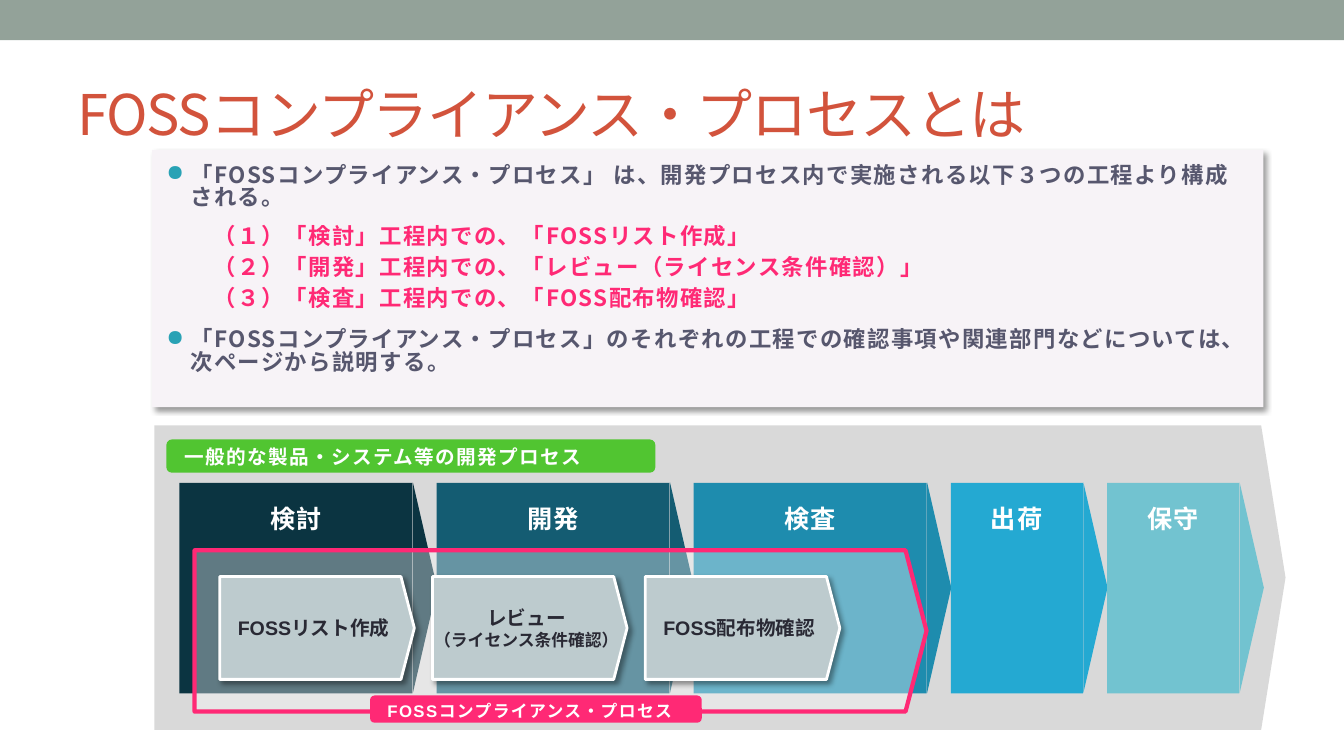
from lxml.etree import SubElement
from pptx import Presentation
from pptx.dml.color import RGBColor
from pptx.enum.shapes import MSO_SHAPE as Kind
from pptx.enum.text import MSO_ANCHOR as Anchor, MSO_AUTO_SIZE as Auto, PP_ALIGN as Align
from pptx.oxml.ns import qn
from pptx.util import Emu, Pt

PX = 9144  # 100 px to the inch
SANS, ARIAL = "Noto Sans CJK JP", "Arial"
PINK, WHITE, INK = "FF2975", "FFFFFF", "57576E"
TIP = 24

BODY = dict(name=SANS, size=Pt(16), bold=True)
HEAD = dict(name=ARIAL, size=Pt(18), bold=True)
LABEL = dict(name=ARIAL, size=Pt(14), bold=True)
SMALL = dict(LABEL, size=Pt(12))

INTRO = [
    ("「FOSSコンプライアンス・プロセス」 は、開発プロセス内で実施される以下３つの工程より構成される。", True, 0),
    ("（１）「検討」工程内での、「FOSSリスト作成」", False, 12),
    ("（２）「開発」工程内での、「レビュー（ライセンス条件確認）」", False, 6),
    ("（３）「検査」工程内での、「FOSS配布物確認」", False, 6),
    ("「FOSSコンプライアンス・プロセス」のそれぞれの工程での確認事項や関連部門などについては、"
     "次ページから説明する。", True, 14),
]
STAGES = [("検討", 231, "0B3441"), ("開発", 231, "145C72"), ("検査", 231, "1E8CAE"),
          ("出荷", 131, "24A9D2"), ("保守", 131, "72C3D0")]
STEPS = [[("FOSSリスト作成", LABEL)],
         [("レビュー", LABEL), ("（ライセンス条件確認）", SMALL)],
         [("FOSS配布物確認", LABEL)]]


def px(n):
    return Emu(n * PX)


def color(code):
    return RGBColor.from_string(code)


def assign(obj, values):
    for key, value in values.items():
        setattr(obj, key, value)


def draw(shapes, kind, box, fill, line=None, width=0, adj=None):
    shape = shapes.add_shape(kind, *map(px, box))
    shape.shadow.inherit = False
    shape.fill.solid()
    shape.fill.fore_color.rgb = color(fill)
    if line:
        shape.line.color.rgb = color(line)
        shape.line.width = Pt(width)
    else:
        shape.line.fill.background()
    if adj is not None:
        shape.adjustments[0] = adj
    return shape


def shade(shape):
    """Cast a soft shadow to the lower right."""
    effects = shape._element.spPr.find(qn("a:effectLst"))
    outer = SubElement(effects, qn("a:outerShdw"), blurRad=str(Pt(4)),
                       dist=str(Pt(3)), dir="2700000", algn="tl", rotWithShape="0")
    tone = SubElement(outer, qn("a:srgbClr"), val="000000")
    SubElement(tone, qn("a:alpha"), val="40000")


def frame(shape, insets, **values):
    """Set insets (left, top, right, bottom) and other frame values."""
    text = shape.text_frame
    sides = ("margin_left", "margin_top", "margin_right", "margin_bottom")
    assign(text, dict(zip(sides, map(px, insets))))
    assign(text, dict(dict(word_wrap=True), **values))
    return text


def write(para, words, font, ink, track=0, **values):
    assign(para, values)
    run = para.add_run()
    run.text = words
    assign(run.font, font)
    run.font.color.rgb = color(ink)
    props = run._r.get_or_add_rPr()
    if track:
        props.set("spc", str(track))
    SubElement(props, qn("a:ea"), typeface=font["name"])


def indent(para, left, bullet):
    props = para._p.get_or_add_pPr()
    props.set("marL", str(px(left)))
    props.set("indent", str(px(-left if bullet else 0)))
    if bullet:
        tone = SubElement(props, qn("a:buClr"))
        SubElement(tone, qn("a:srgbClr"), val="29A2B5")
        SubElement(props, qn("a:buChar"), char="●")


def title(shapes):
    box = shapes.add_textbox(*map(px, (67, 58, 1200, 108)))
    text = frame(box, (10, 5, 10, 5), vertical_anchor=Anchor.MIDDLE)
    write(text.paragraphs[0], "FOSSコンプライアンス・プロセスとは",
          dict(name=SANS, size=Pt(40)), "D2533C", -100)


def intro(shapes):
    shade(draw(shapes, Kind.RECTANGLE, (151, 149, 1102, 255), "F7F3F7"))
    box = shapes.add_textbox(*map(px, (157, 164, 1101, 68)))
    text = frame(box, (8, 0, 16, 0))
    for i, (words, bullet, gap) in enumerate(INTRO):
        para = text.add_paragraph() if i else text.paragraphs[0]
        indent(para, 24 if bullet else 47, bullet)
        write(para, words, BODY, INK if bullet else PINK, 100,
              space_before=Pt(gap), line_spacing=0.83)


def tag(shapes, box, fill, words, font, base):
    shape = draw(shapes, Kind.ROUNDED_RECTANGLE, box, fill)
    text = frame(shape, (16, 4, 16, base), vertical_anchor=Anchor.MIDDLE,
                 auto_size=Auto.SHAPE_TO_FIT_TEXT)
    write(text.paragraphs[0], words, font, WHITE, 100, alignment=Align.LEFT)


def stage(shapes, left, width, fill, words):
    """Group a named block with the triangle at its right side."""
    top, high = 479, 209
    group = shapes.add_group_shape().shapes
    block = draw(group, Kind.RECTANGLE, (left, top, width, high), fill)
    text = frame(block, (0, 20, 0, 0), vertical_anchor=Anchor.TOP)
    write(text.paragraphs[0], words, HEAD, WHITE, 100, alignment=Align.CENTER)
    mid = left + width + TIP // 2
    tip = draw(group, Kind.ISOSCELES_TRIANGLE,
               (mid - high // 2, top + (high - TIP) // 2, high, TIP), fill)
    tip.rotation = 90


def step(shapes, left, lines):
    shape = draw(shapes, Kind.PENTAGON, (left, 572, 193, 102), "BDCBCE", WHITE, 2, 0.13)
    shade(shape)
    text = frame(shape, (10, 5, 10, 5), vertical_anchor=Anchor.MIDDLE, word_wrap=False)
    for i, (words, font) in enumerate(lines):
        para = text.add_paragraph() if i else text.paragraphs[0]
        write(para, words, font, "292934", alignment=Align.CENTER)


def scope(shapes):
    """Outline the compliance process with a pale see-through arrow."""
    shape = draw(shapes, Kind.PENTAGON, (193, 546, 726, 160), WHITE, PINK, 3, 0.13)
    tone = shape._element.spPr.find(qn("a:solidFill"))[0]
    SubElement(tone, qn("a:alpha"), val="35000")


def main():
    deck = Presentation()
    deck.slide_width, deck.slide_height = px(1333), px(750)
    shapes = deck.slides.add_slide(deck.slide_layouts[6]).shapes
    draw(shapes, Kind.RECTANGLE, (0, 0, 1333, 40), "93A299")
    title(shapes)
    intro(shapes)
    draw(shapes, Kind.PENTAGON, (153, 422, 1122, 302), "D9D9D9", adj=0.08)
    tag(shapes, (165, 436, 485, 33), "51C531",
        "一般的な製品・システム等の開発プロセス", LABEL, 2)
    left = 178
    for words, width, fill in STAGES:
        stage(shapes, left, width, fill, words)
        left += width + TIP
    scope(shapes)
    for i, lines in enumerate(STEPS):
        step(shapes, 218 + 211 * i, lines)
    tag(shapes, (367, 690, 329, 27), PINK, "FOSSコンプライアンス・プロセス", SMALL, 0)
    deck.save("out.pptx")


if __name__ == "__main__":
    main()
